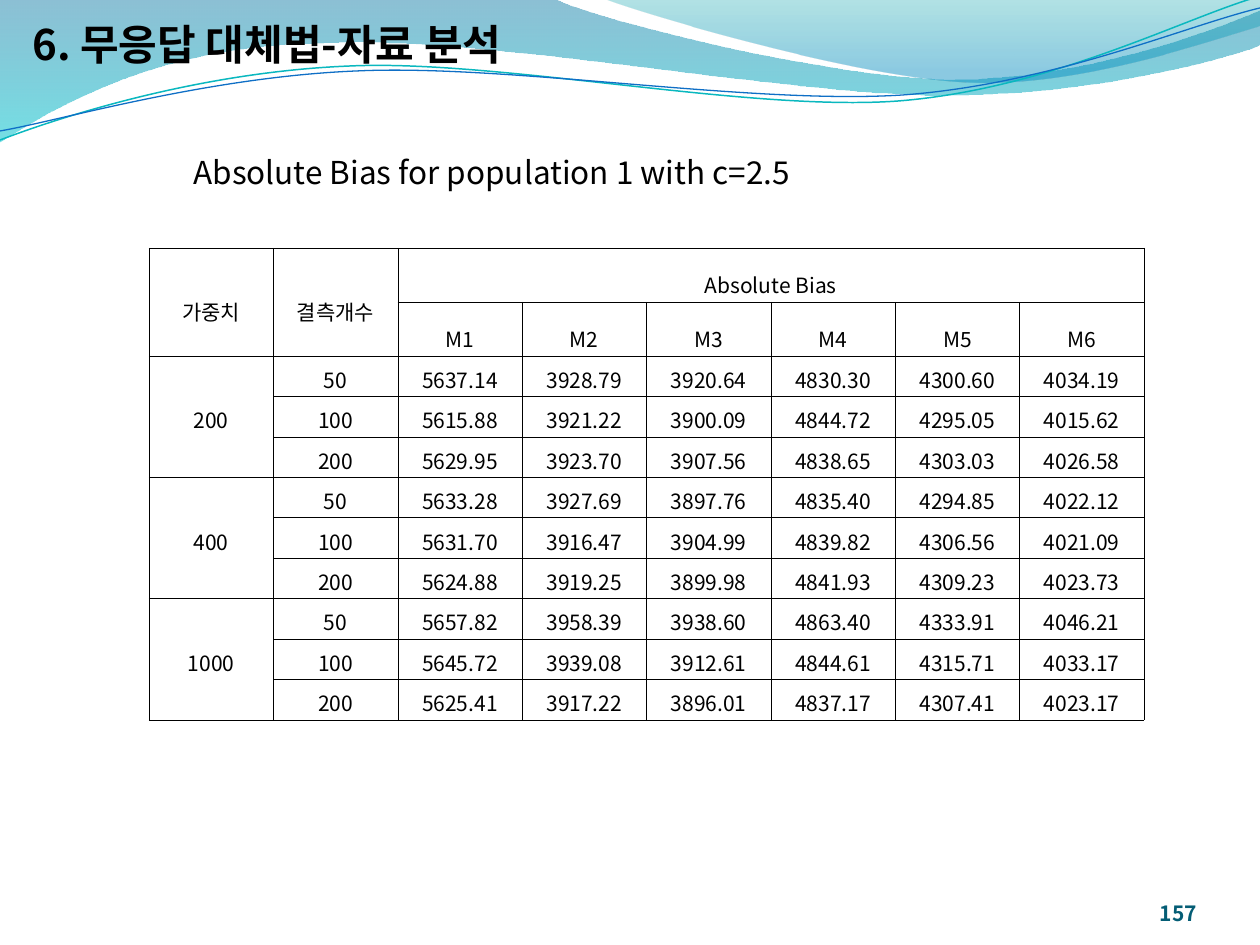
from lxml import etree
from pptx import Presentation
from pptx.dml.color import RGBColor
from pptx.enum.text import MSO_ANCHOR, PP_ALIGN
from pptx.oxml.ns import qn
from pptx.util import Pt

TITLE = "6. 무응답 대체법-자료 분석"
SUBTITLE = "Absolute Bias for population 1 with c=2.5"
PAGE_NUMBER = "157"
CORNER_HEADS = ["가중치", "결측개수"]
GROUP_HEAD = "Absolute Bias"
METHODS = ["M1", "M2", "M3", "M4", "M5", "M6"]
MISSING_COUNTS = ["50", "100", "200"]
BIAS = {
    "200": [
        ["5637.14", "3928.79", "3920.64", "4830.30", "4300.60", "4034.19"],
        ["5615.88", "3921.22", "3900.09", "4844.72", "4295.05", "4015.62"],
        ["5629.95", "3923.70", "3907.56", "4838.65", "4303.03", "4026.58"],
    ],
    "400": [
        ["5633.28", "3927.69", "3897.76", "4835.40", "4294.85", "4022.12"],
        ["5631.70", "3916.47", "3904.99", "4839.82", "4306.56", "4021.09"],
        ["5624.88", "3919.25", "3899.98", "4841.93", "4309.23", "4023.73"],
    ],
    "1000": [
        ["5657.82", "3958.39", "3938.60", "4863.40", "4333.91", "4046.21"],
        ["5645.72", "3939.08", "3912.61", "4844.61", "4315.71", "4033.17"],
        ["5625.41", "3917.22", "3896.01", "4837.17", "4307.41", "4023.17"],
    ],
}

BLACK = RGBColor(0x00, 0x00, 0x00)
NAVY = RGBColor(0x04, 0x5D, 0x75)
OCEAN = RGBColor(0x00, 0x74, 0xA1)
AQUA = RGBColor(0x00, 0xC6, 0xCF)
TEAL = RGBColor(0x00, 0xA1, 0xA9)
SKY = RGBColor(0x00, 0x8B, 0xBF)
TURQUOISE = RGBColor(0x0A, 0xB8, 0xBF)
BLUE = RGBColor(0x0F, 0x6F, 0xC6)

BANDS = [
    ([(0, -1), (554, -1), (600, 21, 837, 79, 955, 79), (1081, 79, 1207, 33, 1260, 11),
      (1261, 45), (1239, 55, 1096, 96, 940, 95), (784, 95, 481, 35, 324, 43),
      (163, 44, 58, 105, -1, 142)],
     [(0, OCEAN, 45), (1, AQUA, 55)]),
    ([(604, -1), (641, 14, 859, 78, 969, 82), (1079, 87, 1211, 40, 1260, 26), (1260, 0)],
     [(0, TEAL, 30), (0.8, SKY, 45)]),
]
WAVES = [
    ([(0, 140), (60, 117, 199, 72, 349, 66), (497, 59, 747, 112, 898, 101),
      (1050, 89, 1182, 19, 1257, -3)], TURQUOISE, 0.85),
    ([(0, 131), (59, 121, 207, 77, 357, 71), (508, 64, 752, 105, 903, 95),
      (1053, 84, 1185, 26, 1260, 8)], BLUE, 0.75),
]

FONT = "Noto Sans CJK KR"
EMU_PER_PX = 914400 / 126
CENTER, LEFT, RIGHT = PP_ALIGN.CENTER, PP_ALIGN.LEFT, PP_ALIGN.RIGHT
MIDDLE, TOP, BOTTOM = MSO_ANCHOR.MIDDLE, MSO_ANCHOR.TOP, MSO_ANCHOR.BOTTOM


def px(value):
    return round(value * EMU_PER_PX)


def add_outline(page, segments, close):
    points = [(px(x), px(y)) for segment in segments
              for x, y in zip(segment[::2], segment[1::2])]
    builder = page.shapes.build_freeform(*points[0])
    builder.add_line_segments(points[1:], close=close)
    shape = builder.convert_to_shape()
    shape.shadow.inherit = False
    lines = iter(list(shape.element.iter(qn("a:lnTo"))))
    for segment in segments[1:]:
        first = next(lines)
        if len(segment) == 6:
            first.tag = qn("a:cubicBezTo")
            for _ in range(2):
                control = next(lines)
                first.append(control[0])
                control.getparent().remove(control)
    return shape


def add_band(page, segments, stops):
    band = add_outline(page, segments, True)
    band.line.fill.background()
    band.fill.gradient()
    band.fill.gradient_angle = 270
    for stop, (position, color, _) in zip(band.fill.gradient_stops, stops):
        stop.position = position
        stop.color.rgb = color
    for node, (_, _, opacity) in zip(band.element.iter(qn("a:gs")), stops):
        etree.SubElement(node[0], qn("a:alpha"), val=str(opacity * 1000))


def add_wave(page, segments, color, width):
    wave = add_outline(page, segments, False)
    wave.fill.background()
    wave.line.color.rgb = color
    wave.line.width = Pt(width)


def write(para, text, size, color=BLACK, bold=False, align=LEFT):
    para.alignment = align
    span = para.add_run()
    span.text = text
    span.font.name = FONT
    span.font.size = Pt(size)
    span.font.bold = bold
    span.font.color.rgb = color
    etree.SubElement(span.font._element, qn("a:ea"), typeface=FONT)


def add_box(page, left, top, width, height, anchor, wrap=True):
    box = page.shapes.add_textbox(px(left), px(top), px(width), px(height))
    box.text_frame.word_wrap = wrap
    box.text_frame.vertical_anchor = anchor
    return box.text_frame


def fill_cell(cell, text, spacing):
    cell.vertical_anchor = MIDDLE
    cell.margin_left = cell.margin_right = px(9)
    cell.margin_top = cell.margin_bottom = px(2)
    para = cell.text_frame.paragraphs[0]
    para.line_spacing = spacing
    write(para, text, 12, align=CENTER)


def border_cell(cell):
    properties = cell._tc.get_or_add_tcPr()
    for side in ("a:lnL", "a:lnR", "a:lnT", "a:lnB"):
        line = etree.SubElement(properties, qn(side), w=str(Pt(0.28)))
        solid = etree.SubElement(line, qn("a:solidFill"))
        etree.SubElement(solid, qn("a:srgbClr"), val=str(BLACK))
    cell.fill.background()


def add_bias_table(page):
    group = len(MISSING_COUNTS)
    body_rows = group * len(BIAS)
    columns = len(CORNER_HEADS) + len(METHODS)
    table = page.shapes.add_table(body_rows + 2, columns, px(149), px(248),
                                  px(995), px(472)).table
    table.first_row = table.horz_banding = False
    for column in table.columns:
        column.width = px(995) // columns
    for index, row in enumerate(table.rows):
        row.height = px(54) if index < 2 else px(364) // body_rows
    for row in table.rows:
        for cell in row.cells:
            border_cell(cell)
    for index, head in enumerate(CORNER_HEADS):
        table.cell(0, index).merge(table.cell(1, index))
        fill_cell(table.cell(0, index), head, 1.6)
    table.cell(0, 2).merge(table.cell(0, columns - 1))
    fill_cell(table.cell(0, 2), GROUP_HEAD, 1.6)
    for index, method in enumerate(METHODS, 2):
        fill_cell(table.cell(1, index), method, 1.6)
    for block, (weight, rows) in enumerate(BIAS.items()):
        first = 2 + block * group
        table.cell(first, 0).merge(table.cell(first + group - 1, 0))
        fill_cell(table.cell(first, 0), weight, 1.2)
        for offset, (count, values) in enumerate(zip(MISSING_COUNTS, rows)):
            for index, text in enumerate([count, *values], 1):
                fill_cell(table.cell(first + offset, index), text, 1.2)


def main():
    deck = Presentation()
    deck.slide_width, deck.slide_height = px(1260), px(945)
    page = deck.slides.add_slide(deck.slide_layouts[6])
    for band in BANDS:
        add_band(page, *band)
    for wave in WAVES:
        add_wave(page, *wave)

    number = add_box(page, 1092, 876, 105, 50, BOTTOM)
    number.margin_left = number.margin_right = number.margin_top = number.margin_bottom = 0
    write(number.paragraphs[0], PAGE_NUMBER, 12, NAVY, True, RIGHT)

    title = add_box(page, 20, 0, 528, 88, MIDDLE, wrap=False)
    write(title.paragraphs[0], TITLE, 24, bold=True)

    subtitle = add_box(page, 118, 147, 1053, 50, TOP).paragraphs[0]
    subtitle.level = 1
    subtitle._p.get_or_add_pPr().set("marL", str(px(63)))
    write(subtitle, SUBTITLE, 18)

    add_bias_table(page)
    deck.save("out.pptx")


if __name__ == "__main__":
    main()
